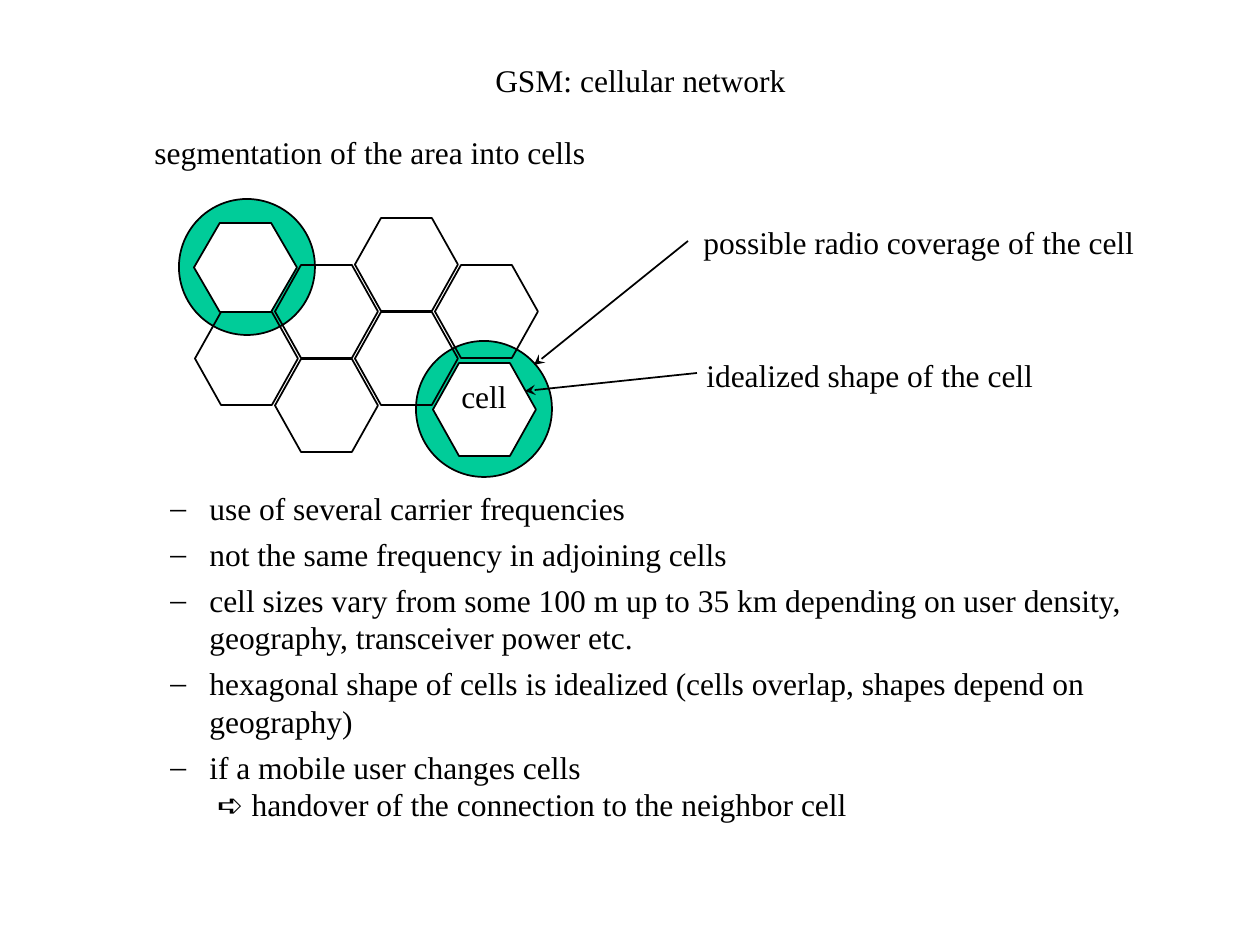
import pptx
import pptx.dml.color
import pptx.enum.shapes
import pptx.enum.text
import pptx.oxml.ns
import pptx.util
from lxml import etree

EMU_PER_PX = 914400 / 126
FONT = "Times New Roman"
BLACK = "000000"
WHITE = "FFFFFF"
GREEN = "00CC99"
CELL_WIDTH, CELL_HEIGHT = 103, 93
COVERAGE_SIZE = 136
COLUMN_STEP, HALF_ROW = 80, 47
GRID_LEFT, GRID_TOP = 195, 218
GRID_CELLS = [(1, 1), (0, 2), (2, 0), (2, 2), (3, 1), (1, 3)]
BULLETS = [
    "use of several carrier frequencies",
    "not the same frequency in adjoining cells",
    "cell sizes vary from some 100 m up to 35 km depending on user density, "
    "geography, transceiver power etc.",
    "hexagonal shape of cells is idealized (cells overlap, shapes depend on geography)",
    "if a mobile user changes cells",
]


def px(length):
    return pptx.util.Emu(round(length * EMU_PER_PX))


def color(value):
    return pptx.dml.color.RGBColor.from_string(value)


def add_xml(parent, tag, **attributes):
    return etree.SubElement(parent, pptx.oxml.ns.qn(tag), attributes)


def style_paragraph(para):
    para.font.name = FONT
    para.font.size = pptx.util.Pt(18)
    para.font.color.rgb = color(BLACK)


def add_box(page, left, top, width, height, wrap=True):
    box = page.shapes.add_textbox(px(left), px(top), px(width), px(height))
    box.text_frame.word_wrap = wrap
    return box.text_frame


def add_label(page, text, left, top, width, height=50, centered=False, wrap=True):
    frame = add_box(page, left, top, width, height, wrap)
    frame.vertical_anchor = pptx.enum.text.MSO_ANCHOR.MIDDLE
    para = frame.paragraphs[0]
    para.text = text
    if centered:
        para.alignment = pptx.enum.text.PP_ALIGN.CENTER
    style_paragraph(para)


def add_outlined(page, kind, left, top, width, height, fill=None):
    shape = page.shapes.add_shape(kind, px(left), px(top), px(width), px(height))
    shape.shadow.inherit = False
    if fill:
        shape.fill.solid()
        shape.fill.fore_color.rgb = color(fill)
    else:
        shape.fill.background()
    shape.line.color.rgb = color(BLACK)
    shape.line.width = pptx.util.Pt(1)
    return shape


def add_cell(page, left, top, height=CELL_HEIGHT, fill=None):
    hexagon = pptx.enum.shapes.MSO_SHAPE.HEXAGON
    shape = add_outlined(page, hexagon, left, top, CELL_WIDTH, height, fill)
    shape.adjustments[0] = round(26 / height, 2)


def add_coverage(page, left, top):
    oval = pptx.enum.shapes.MSO_SHAPE.OVAL
    add_outlined(page, oval, left, top, COVERAGE_SIZE, COVERAGE_SIZE, GREEN)


def add_arrow(page, start, end):
    straight = pptx.enum.shapes.MSO_CONNECTOR.STRAIGHT
    arrow = page.shapes.add_connector(straight, *map(px, start + end))
    arrow.line.color.rgb = color(BLACK)
    arrow.line.width = pptx.util.Pt(1)
    add_xml(arrow.line._get_or_add_ln(), "a:tailEnd", type="stealth")
    add_xml(arrow._element.spPr, "a:effectLst")


def add_bullets(page, texts, left, top, width, height):
    frame = add_box(page, left, top, width, height)
    for index, text in enumerate(texts):
        para = frame.add_paragraph() if index else frame.paragraphs[0]
        para.text = text
        para.level = 1
        para.space_before = pptx.util.Pt(4.5)
        properties = para._p.get_or_add_pPr()
        properties.set("marL", str(px(102)))
        properties.set("indent", str(px(-39)))
        add_xml(add_xml(properties, "a:buClr"), "a:srgbClr", val=BLACK)
        add_xml(properties, "a:buFont", typeface=FONT)
        add_xml(properties, "a:buChar", char="–")
        style_paragraph(para)
    return para


def add_handover(para):
    para.add_line_break()
    for text, font in [(" ", FONT), ("➪", "Arial"),
                       (" handover of the connection to the neighbor cell", FONT)]:
        span = para.add_run()
        span.text = text
        span.font.name = font


def main():
    deck = pptx.Presentation()
    deck.slide_width, deck.slide_height = px(1260), px(945)
    page = deck.slides.add_slide(deck.slide_layouts[6])

    add_label(page, "GSM: cellular network", 105, 22, 1071, 116, centered=True)
    add_label(page, "segmentation of the area into cells", 142, 127, 456, wrap=False)
    add_label(page, "possible radio coverage of the cell", 691, 217, 480)
    add_label(page, "idealized shape of the cell", 694, 350, 530)

    add_coverage(page, 416, 341)
    add_cell(page, 433, 363, fill=WHITE)
    add_label(page, "cell", 438, 371, 92, centered=True)
    add_coverage(page, 179, 199)
    add_cell(page, 194, 223, height=89, fill=WHITE)
    for column, row in GRID_CELLS:
        add_cell(page, GRID_LEFT + column * COLUMN_STEP, GRID_TOP + row * HALF_ROW)

    add_arrow(page, (688, 241), (534, 365))
    add_arrow(page, (697, 373), (525, 391))

    add_handover(add_bullets(page, BULLETS, 95, 483, 1124, 357))
    deck.save("out.pptx")


if __name__ == "__main__":
    main()
